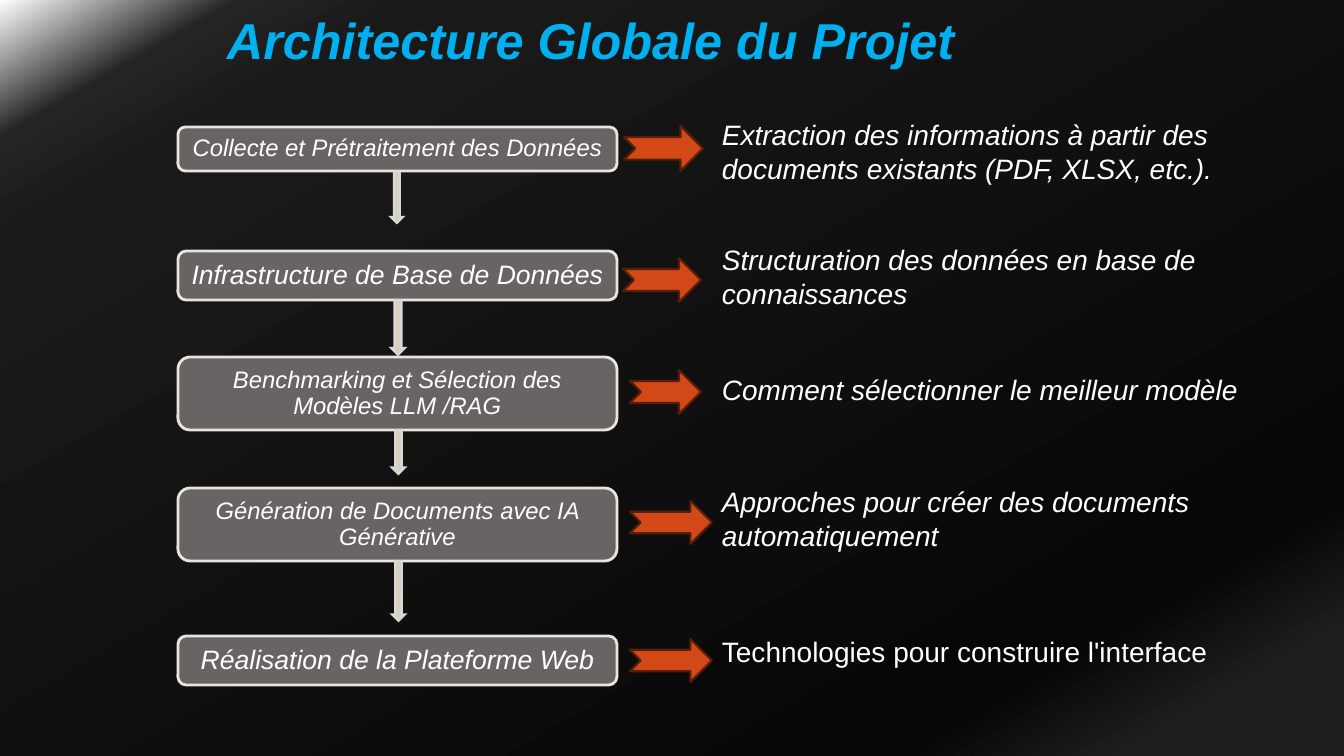
"""Build the slide showing the five stages of the project architecture."""
from lxml.etree import SubElement
from pptx import Presentation
from pptx.dml.color import RGBColor
from pptx.enum.shapes import MSO_SHAPE as Shape
from pptx.enum.text import MSO_ANCHOR as Anchor, MSO_AUTO_SIZE as AutoSize, PP_ALIGN as Align
from pptx.oxml.ns import qn
from pptx.util import Emu, Pt

PX = 914400 / 100.8
COLORS = {
    "title": "00B0F0", "text": "FFFFFF",
    "stage": "696464", "stage_line": "E9E5DC",
    "next": "D7D0C0", "next_line": "D8D8D8",
    "result": "D34817", "result_line": "591E09",
}
BACKDROP = [(0, "FFFFFF"), (9, "242424"), (17, "191919"),
            (83, "070707"), (92, "1F1F1F"), (100, "1F1F1F")]
STAGE_LEFT, STAGE_WIDTH, OUTCOME_LEFT = 178, 439, 712

STAGES = [
    ("Collecte et Prétraitement des Données", 17, (127, 44), (624, 126, 79, 45),
     "Extraction des informations à partir des documents existants (PDF, XLSX, etc.).",
     True, (113, 518, 78)),
    ("Infrastructure de Base de Données", 19, (251, 49), (623, 258, 78, 44),
     "Structuration des données en base de connaissances", True, (238, 505, 78)),
    ("Benchmarking et Sélection des Modèles LLM /RAG", 17, (357, 73), (630, 370, 71, 44),
     "Comment sélectionner le meilleur modèle", True, (368, 549, 44)),
    ("Génération de Documents avec IA Générative", 17, (488, 73), (630, 501, 82, 43),
     "Approches pour créer des documents automatiquement", True, (480, 493, 78)),
    ("Réalisation de la Plateforme Web", 19, (636, 49), (630, 639, 82, 43),
     "Technologies pour construire l'interface", False, (630, 632, 44)),
]
NEXT_ARROWS = [(391, 172, 12, 51), (391, 300, 14, 55), (392, 430, 13, 44), (392, 561, 13, 60)]


def add_block(preset, box, role, line_width):
    block = slide.shapes.add_shape(preset, *[Emu(round(n * PX)) for n in box])
    block.shadow.inherit = False
    block.fill.solid()
    block.fill.fore_color.rgb = RGBColor.from_string(COLORS[role])
    block.line.color.rgb = RGBColor.from_string(COLORS[role + "_line"])
    block.line.width = Pt(line_width)
    return block


def write(holder, text, size, role="text", bold=False, italic=True):
    holder.text_frame.word_wrap = True
    paragraph = holder.text_frame.paragraphs[0]
    paragraph.text = text
    font = paragraph.font
    font.name, font.size, font.bold, font.italic = "Arial", Pt(size), bold, italic
    font.color.rgb = RGBColor.from_string(COLORS[role])
    return paragraph


deck = Presentation()
deck.slide_width, deck.slide_height = Emu(round(1344 * PX)), Emu(round(756 * PX))
slide = deck.slides.add_slide(deck.slide_layouts[6])

backdrop = slide.background.fill
backdrop.gradient()
gradient = slide.element.find(".//" + qn("a:gradFill"))
stops = gradient.find(qn("a:gsLst"))
for stop in list(stops):
    stops.remove(stop)
for position, color in BACKDROP:
    stop = SubElement(stops, qn("a:gs"), pos=str(position * 1000))
    SubElement(stop, qn("a:srgbClr"), val=color)
direction = gradient.find(qn("a:lin"))
direction.set("ang", str(60 * 60000))
direction.set("scaled", "0")

title = slide.shapes.add_textbox(*[Emu(round(n * PX)) for n in (217, 4, 852, 72)])
write(title, "Architecture Globale du Projet", 36, "title", bold=True)
title.text_frame.auto_size = AutoSize.SHAPE_TO_FIT_TEXT

for name, size, (top, height), arrow_box, result, italic, (result_top, width, depth) in STAGES:
    stage = add_block(Shape.ROUNDED_RECTANGLE, (STAGE_LEFT, top, STAGE_WIDTH, height),
                      "stage", 2)
    label = write(stage, name, size)
    label.alignment = Align.CENTER
    label.line_spacing = 0.9
    frame = stage.text_frame
    frame.vertical_anchor = Anchor.MIDDLE
    frame.margin_left = frame.margin_right = Emu(round(8 * PX))
    frame.margin_top = frame.margin_bottom = Emu(round(7 * PX))

    add_block(Shape.NOTCHED_RIGHT_ARROW, arrow_box, "result", 1.5)
    outcome = slide.shapes.add_textbox(
        *[Emu(round(n * PX)) for n in (OUTCOME_LEFT, result_top, width, depth)])
    write(outcome, result, 20, italic=italic)
    outcome.text_frame.auto_size = AutoSize.SHAPE_TO_FIT_TEXT

for arrow_box in NEXT_ARROWS:
    next_arrow = add_block(Shape.DOWN_ARROW, arrow_box, "next", 1.5)
    outline = next_arrow.element.spPr.find(qn("a:ln"))
    SubElement(outline, qn("a:miter"), lim="800000")

deck.save("out.pptx")
